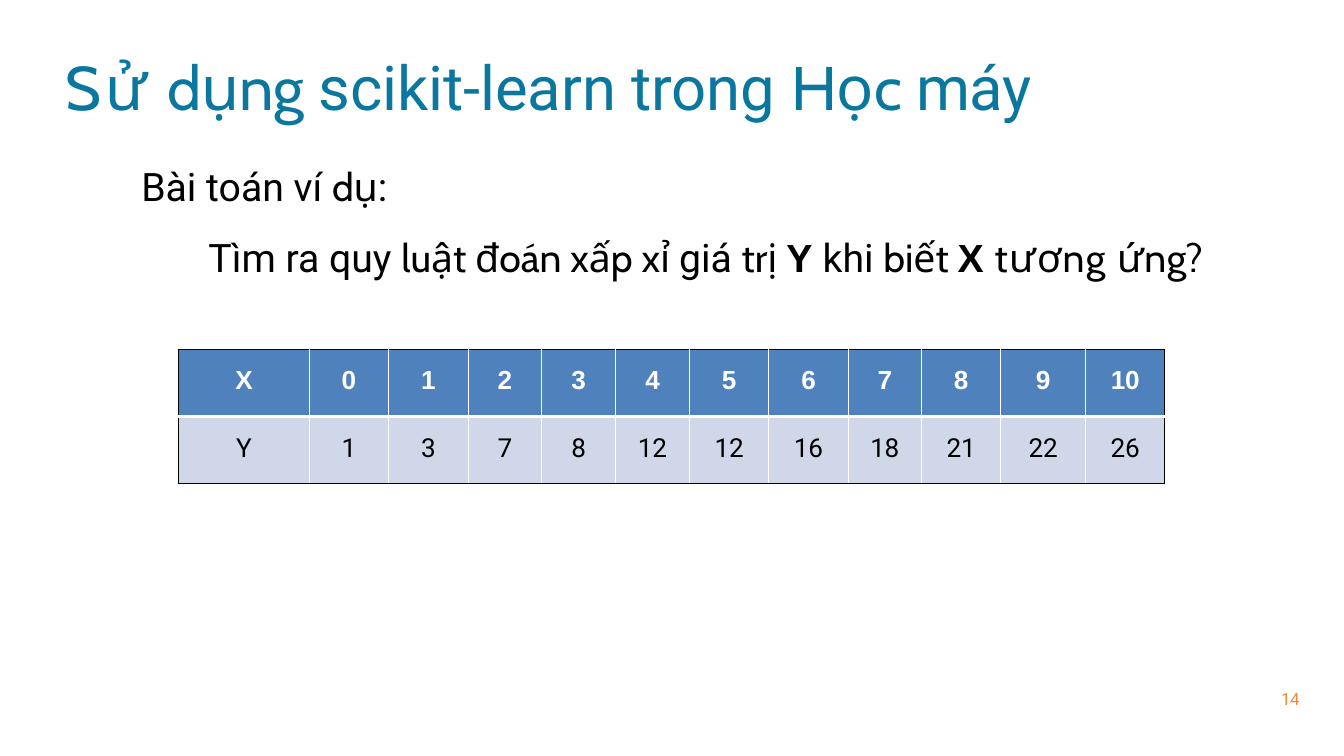
import pptx
import pptx.util
import pptx.dml.color
import pptx.enum.text
import pptx.oxml
import pptx.oxml.ns
from pptx.util import Cm

COLORS = {
    "title": "0A779F",
    "text": "000000",
    "number": "F68533",
    "white": "FFFFFF",
    "header": "4F81BC",
    "values": "D0D7E8",
}

TEXT_BOXES = [
    {
        "place": (2.46, 1.83, 41.91, 2.87), "top_inset": 0.03,
        "size": 66, "color": "title",
        "paragraphs": [
            {"indent": 0.03, "runs": [
                ("Sử ", "Cabin", 3.6), ("dụng ", "Cabin", 0),
                ("scikit-", "Roboto", -0.1), ("learn trong ", "Roboto", 0),
                ("Học ", "Cabin", 0), ("máy", "Roboto", -0.2),
            ]},
        ],
    },
    {
        "place": (5.31, 5.21, 40.56, 5.44), "top_inset": 0.94,
        "size": 42, "color": "text",
        "paragraphs": [
            {"indent": 0.03, "runs": [
                ("Bài toán ví ", "Roboto", 0), ("dụ", "Cabin", -0.2), (":", "Roboto", -0.2),
            ]},
            {"indent": 2.57, "space_before": 25.6, "runs": [
                ("Tìm ra quy ", "Roboto", 0), ("luật đoán xấp xỉ ", "Cabin", 0),
                ("giá ", "Roboto", 0), ("trị ", "Cabin", 0), ("Y ", "Arial", 0),
                ("khi ", "Roboto", 0), ("biết ", "Cabin", 0), ("X ", "Arial", 0),
                ("tương ", "Cabin", 1.5), ("ứng?", "Cabin", 0.8),
            ]},
        ],
    },
    {
        "place": (48.39, 26.06, 0.89, 0.79), "top_inset": 0,
        "size": 18, "color": "number",
        "paragraphs": [
            {"indent": 0.03, "line_spacing": 20.9, "runs": [("14", "Roboto", -0.2)]},
        ],
    },
]

TABLE_ROWS = [
    {"values": ["X", 0, 1, 2, 3, 4, 5, 6, 7, 8, 9, 10],
     "font": "Arial", "color": "white", "fill": "header"},
    {"values": ["Y", 1, 3, 7, 8, 12, 12, 16, 18, 21, 22, 26],
     "font": "Roboto", "color": "text", "fill": "values"},
]
TABLE_LEFT, TABLE_TOP = 6.76, 13.2
COLUMN_WIDTHS = [4.93, 3, 3, 2.79, 2.79, 2.79, 3, 3, 2.77, 3, 3.2, 3]
ROW_HEIGHT = 2.54


def rgb(name):
    return pptx.dml.color.RGBColor.from_string(COLORS[name])


def add_run(paragraph, text, font_name, size, color, spacing):
    run = paragraph.add_run()
    run.text = text
    formats = {"name": font_name, "size": pptx.util.Pt(size), "bold": font_name == "Arial"}
    for attribute, value in formats.items():
        setattr(run.font, attribute, value)
    run.font.color.rgb = rgb(color)
    run.font._element.set("spc", str(round(spacing * 100)))


def add_text_box(slide, box):
    shape = slide.shapes.add_textbox(*map(Cm, box["place"]))
    frame = shape.text_frame
    formats = {"word_wrap": True, "margin_left": 0, "margin_right": 0,
               "margin_top": Cm(box["top_inset"]), "margin_bottom": 0}
    for attribute, value in formats.items():
        setattr(frame, attribute, value)
    for index, content in enumerate(box["paragraphs"]):
        paragraph = frame.add_paragraph() if index else frame.paragraphs[0]
        paragraph._p.get_or_add_pPr().set("marL", str(Cm(content["indent"])))
        for attribute in ("space_before", "line_spacing"):
            if attribute in content:
                setattr(paragraph, attribute, pptx.util.Pt(content[attribute]))
        for text, font_name, spacing in content["runs"]:
            add_run(paragraph, text, font_name, box["size"], box["color"], spacing)


def set_borders(cell, borders):
    properties = cell._tc.get_or_add_tcPr()
    for index, (side, (color, width)) in enumerate(borders.items()):
        line = pptx.oxml.parse_xml(
            f'<a:ln{side} {pptx.oxml.ns.nsdecls("a")} w="{pptx.util.Pt(width)}">'
            f'<a:solidFill><a:srgbClr val="{COLORS[color]}"/></a:solidFill></a:ln{side}>'
        )
        properties.insert(index, line)


def add_value_table(slide):
    last_row, last_column = len(TABLE_ROWS) - 1, len(COLUMN_WIDTHS) - 1
    shape = slide.shapes.add_table(
        len(TABLE_ROWS), len(COLUMN_WIDTHS), Cm(TABLE_LEFT), Cm(TABLE_TOP),
        Cm(sum(COLUMN_WIDTHS)), Cm(ROW_HEIGHT * len(TABLE_ROWS)),
    )
    table = shape.table
    for column, width in zip(table.columns, COLUMN_WIDTHS):
        column.width = Cm(width)
    for row_index, content in enumerate(TABLE_ROWS):
        table.rows[row_index].height = Cm(ROW_HEIGHT)
        for column_index, value in enumerate(content["values"]):
            cell = table.cell(row_index, column_index)
            formats = {"margin_left": 0, "margin_right": 0,
                       "margin_top": Cm(0.65), "margin_bottom": 0}
            for attribute, length in formats.items():
                setattr(cell, attribute, length)
            cell.fill.solid()
            cell.fill.fore_color.rgb = rgb(content["fill"])
            set_borders(cell, {
                "L": ("white" if column_index else "text", 1),
                "R": ("white" if column_index < last_column else "text", 1),
                "T": ("white", 3) if row_index else ("text", 1),
                "B": ("white", 3) if row_index < last_row else ("text", 1),
            })
            paragraph = cell.text_frame.paragraphs[0]
            paragraph.alignment = pptx.enum.text.PP_ALIGN.CENTER
            text = str(value)
            spacing = -0.2 if len(text) > 1 else -0.5
            add_run(paragraph, text, content["font"], 28, content["color"], spacing)


def main():
    presentation = pptx.Presentation()
    presentation.slide_width, presentation.slide_height = Cm(50.8), Cm(28.58)
    slide = presentation.slides.add_slide(presentation.slide_layouts[6])
    for box in TEXT_BOXES:
        add_text_box(slide, box)
    add_value_table(slide)
    presentation.save("out.pptx")


if __name__ == "__main__":
    main()
